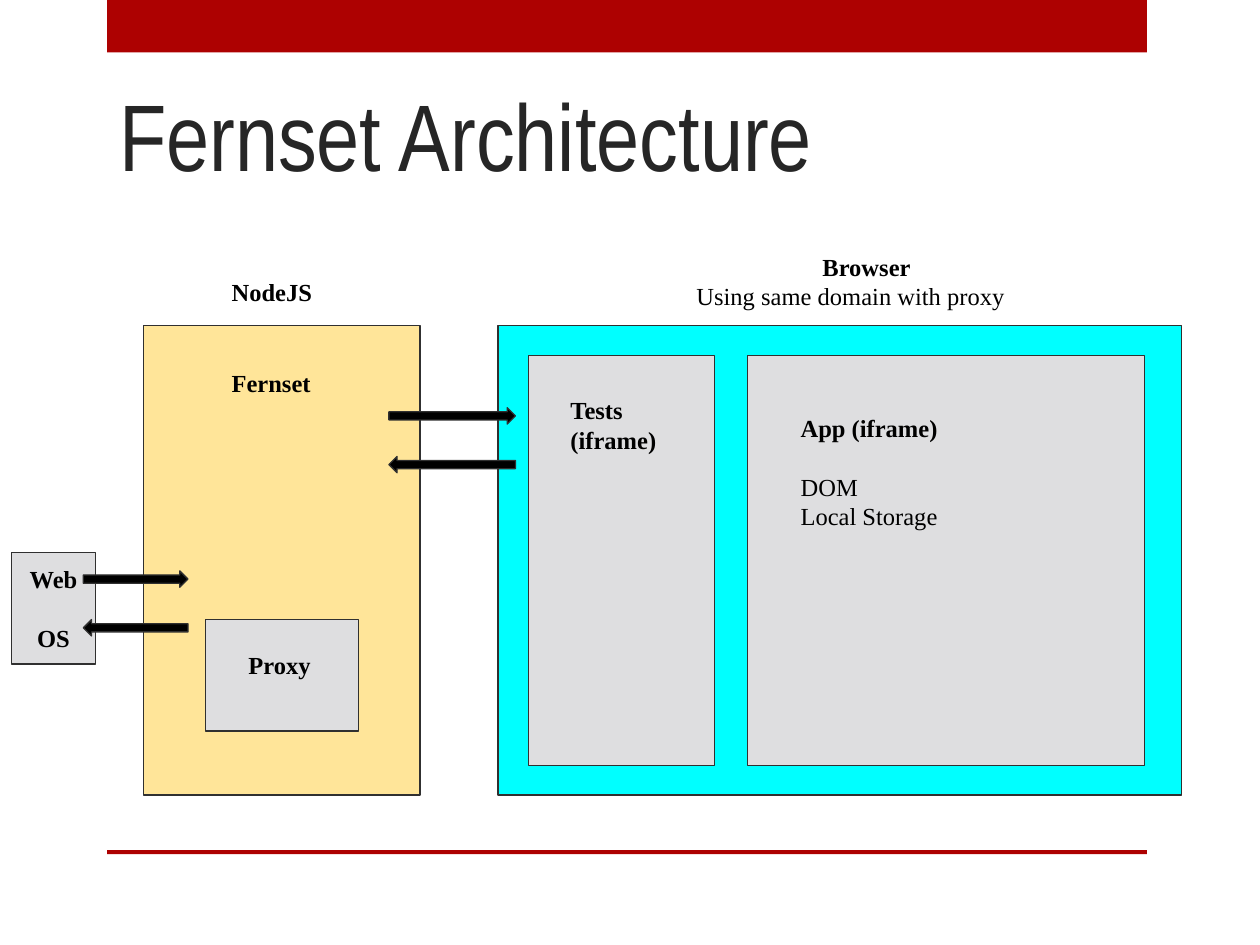
from dataclasses import dataclass

from pptx import Presentation
from pptx.dml.color import RGBColor
from pptx.enum.shapes import MSO_SHAPE
from pptx.enum.text import MSO_ANCHOR, PP_ALIGN
from pptx.shapes.autoshape import Shape
from pptx.slide import Slide
from pptx.util import Cm, Pt

RECTANGLE = MSO_SHAPE.RECTANGLE
RIGHT_ARROW = MSO_SHAPE.RIGHT_ARROW
TOP, MIDDLE, BOTTOM = MSO_ANCHOR.TOP, MSO_ANCHOR.MIDDLE, MSO_ANCHOR.BOTTOM
LEFT, CENTER = PP_ALIGN.LEFT, PP_ALIGN.CENTER

RED = RGBColor(0xAD, 0x01, 0x01)
CHARCOAL = RGBColor(0x26, 0x26, 0x26)
OUTLINE = RGBColor(0x30, 0x30, 0x30)
BLACK = RGBColor(0x00, 0x00, 0x00)
CYAN = RGBColor(0x00, 0xFF, 0xFF)
GREY = RGBColor(0xDE, 0xDE, 0xE0)
SAND = RGBColor(0xFF, 0xE5, 0x99)

TITLE_FONT = "Arial Narrow"
BODY_FONT = "Times New Roman"
BLANK_LAYOUT = 6
PADDING = 0.25
LINE_GAP = 17
TOOL = "Fernset"


@dataclass(frozen=True)
class Area:
    left: float
    top: float
    width: float
    height: float


@dataclass(frozen=True)
class Panel:
    area: Area
    fill: RGBColor
    outlined: bool = True


@dataclass(frozen=True)
class Line:
    text: str
    bold: bool = True
    gap: float = 0
    margin: float = 0
    indent: float = 0


@dataclass(frozen=True)
class Label:
    area: Area
    lines: tuple[Line, ...]


@dataclass(frozen=True)
class ArrowPair:
    left: float
    width: float
    tops: tuple[float, float]


BARS = (
    Panel(Area(2.16, 0, 20.96, 1.06), RED, outlined=False),
    Panel(Area(2.16, 17.14, 20.96, 0.08), RED, outlined=False),
)
PANELS = (
    Panel(Area(10.04, 6.56, 13.78, 9.47), CYAN),
    Panel(Area(10.65, 7.17, 3.75, 8.26), GREY),
    Panel(Area(15.07, 7.17, 8, 8.26), GREY),
    Panel(Area(2.9, 6.56, 5.57, 9.47), SAND),
    Panel(Area(4.14, 12.49, 3.09, 2.25), GREY),
)
SYSTEM = Panel(Area(0.23, 11.14, 1.7, 2.25), GREY)
LABELS = (
    Label(Area(4.42, 5.33, 2.54, 0.91), (Line("NodeJS"),)),
    Label(Area(4.42, 7.16, 2.54, 0.91), (Line(TOOL),)),
    Label(Area(4.76, 12.85, 1.85, 0.91), (Line("Proxy"),)),
    Label(Area(11.25, 7.72, 2.54, 1.8), (Line("Tests"), Line("(iframe)"))),
    Label(
        Area(15.89, 8.07, 6.48, 2.9),
        (
            Line("App (iframe)"),
            Line("DOM", bold=False, gap=LINE_GAP),
            Line("Local Storage", bold=False),
        ),
    ),
    Label(
        Area(11.25, 4.83, 11.1, 1.4),
        (
            Line("Browser", margin=3.81, indent=1.27),
            Line("Using same domain with proxy", bold=False, margin=2.54),
        ),
    ),
)
ARROW_HEIGHT = 0.33
ARROW_PAIRS = (
    ArrowPair(7.84, 2.55, (8.22, 9.2)),
    ArrowPair(1.68, 2.11, (11.51, 12.49)),
)


def place(area: Area) -> tuple[Cm, Cm, Cm, Cm]:
    return Cm(area.left), Cm(area.top), Cm(area.width), Cm(area.height)


def draw_shape(page: Slide, panel: Panel, kind: MSO_SHAPE = RECTANGLE) -> Shape:
    shape = page.shapes.add_shape(kind, *place(panel.area))
    shape.shadow.inherit = False
    shape.fill.solid()
    shape.fill.fore_color.rgb = panel.fill
    if panel.outlined:
        shape.line.color.rgb = OUTLINE
        shape.line.width = Pt(0.75)
    else:
        shape.line.fill.background()
    return shape


def write(
    box: Shape,
    lines: tuple[Line, ...],
    *,
    font: str = BODY_FONT,
    size: float = 14,
    color: RGBColor = BLACK,
    align: PP_ALIGN = LEFT,
    anchor: MSO_ANCHOR = TOP,
    padding: float = PADDING,
) -> None:
    frame = box.text_frame
    frame.word_wrap = True
    frame.vertical_anchor = anchor
    frame.margin_left = frame.margin_right = Cm(PADDING)
    frame.margin_top = frame.margin_bottom = Cm(padding)
    for index, line in enumerate(lines):
        para = frame.add_paragraph() if index else frame.paragraphs[0]
        para.alignment = align
        para.line_spacing = 1.0
        para.space_before = Pt(line.gap)
        if line.margin:
            properties = para._p.get_or_add_pPr()
            properties.set("marL", str(Cm(line.margin)))
            properties.set("indent", str(Cm(line.indent)))
        span = para.add_run()
        span.text = line.text
        span.font.name = font
        span.font.size = Pt(size)
        span.font.bold = line.bold
        span.font.color.rgb = color


def draw_arrows(page: Slide, pair: ArrowPair) -> None:
    for top, rotation in zip(pair.tops, (0, 180)):
        area = Area(pair.left, top, pair.width, ARROW_HEIGHT)
        arrow = draw_shape(page, Panel(area, BLACK), RIGHT_ARROW)
        arrow.rotation = rotation


def main() -> None:
    deck = Presentation()
    deck.slide_width, deck.slide_height = Cm(25.4), Cm(19.05)
    page = deck.slides.add_slide(deck.slide_layouts[BLANK_LAYOUT])

    for bar in BARS:
        draw_shape(page, bar)
    title = page.shapes.add_textbox(*place(Area(2.15, 1.22, 20.93, 2.74)))
    write(
        title,
        (Line(f"{TOOL} Architecture", bold=False),),
        font=TITLE_FONT,
        size=54,
        color=CHARCOAL,
        anchor=BOTTOM,
        padding=0.13,
    )
    for panel in PANELS:
        draw_shape(page, panel)
    for label in LABELS:
        write(page.shapes.add_textbox(*place(label.area)), label.lines)
    system = draw_shape(page, SYSTEM)
    write(system, (Line("Web"), Line("OS", gap=LINE_GAP)), align=CENTER, anchor=MIDDLE)
    for pair in ARROW_PAIRS:
        draw_arrows(page, pair)

    deck.save("out.pptx")


if __name__ == "__main__":
    main()
